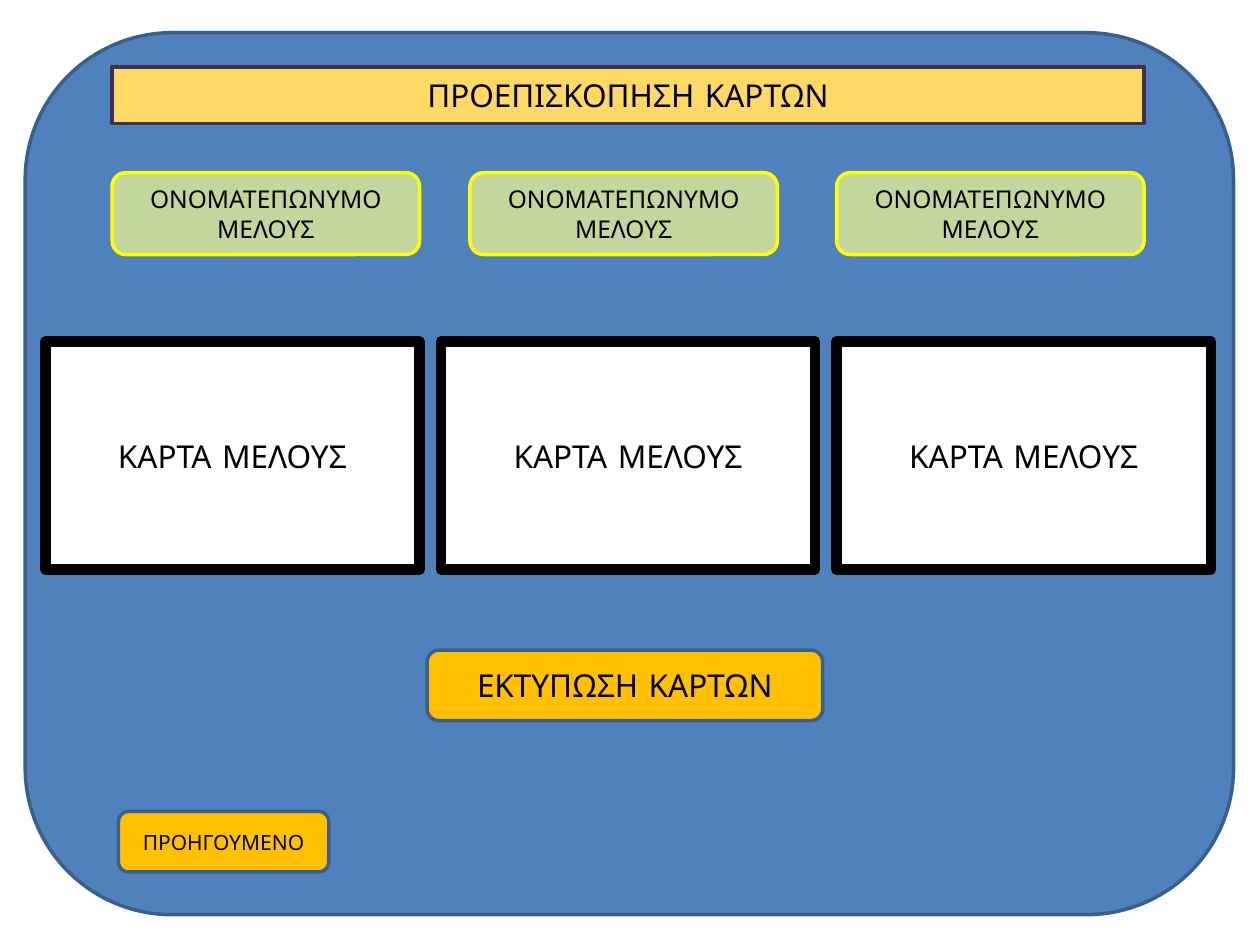
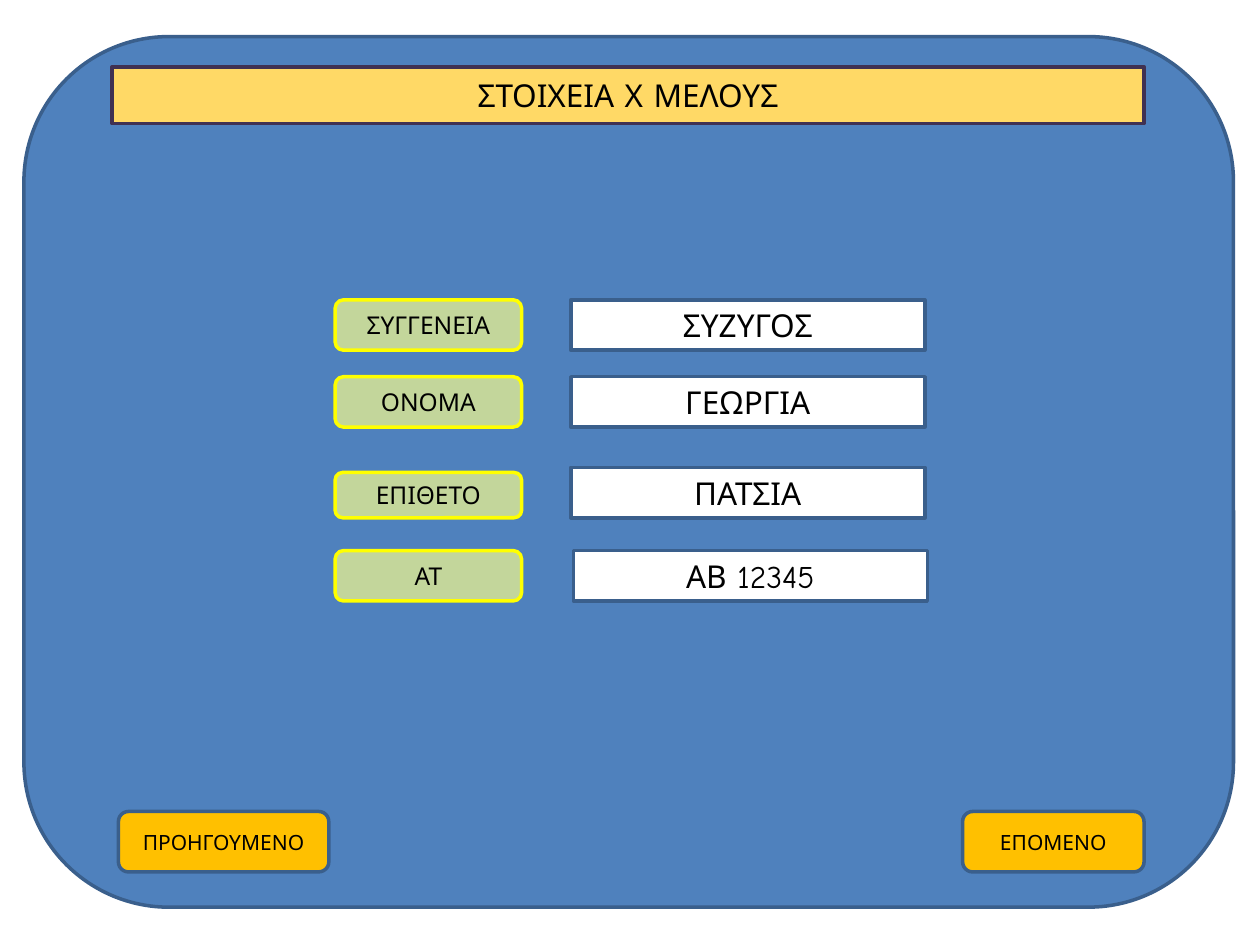
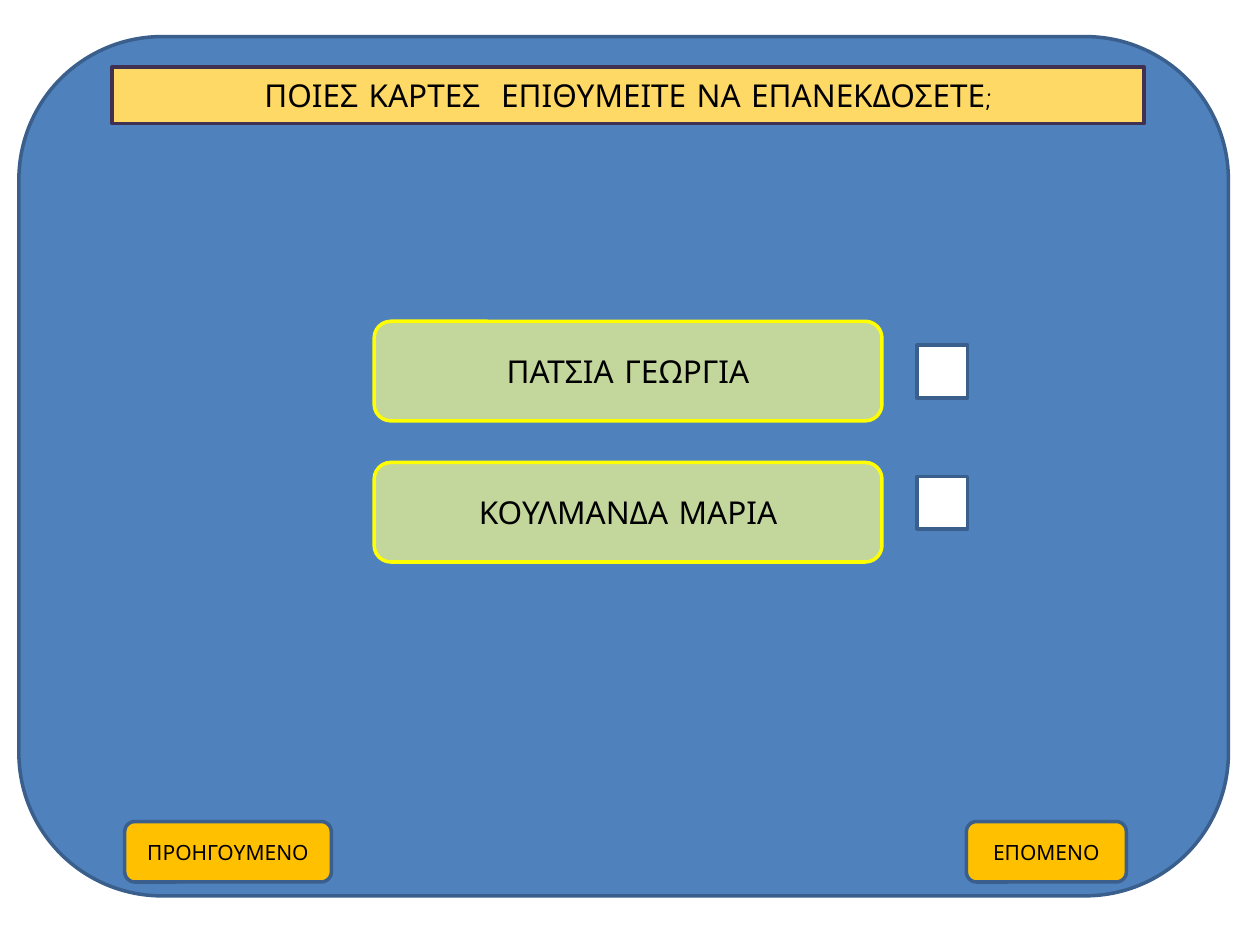
import pptx
import pptx.dml.color
import pptx.enum.shapes
import pptx.enum.text
import pptx.util

RGBColor = pptx.dml.color.RGBColor
BLUE = RGBColor(0x4F, 0x81, 0xBD)
DARK_BLUE = RGBColor(0x3A, 0x5F, 0x8C)
SAND = RGBColor(0xFF, 0xD9, 0x66)
PURPLE = RGBColor(0x40, 0x31, 0x52)
GREEN = RGBColor(0xC3, 0xD6, 0x9B)
YELLOW = RGBColor(0xFF, 0xFF, 0x00)
AMBER = RGBColor(0xFF, 0xC0, 0x00)
WHITE = RGBColor(0xFF, 0xFF, 0xFF)
BLACK = RGBColor(0x00, 0x00, 0x00)

FONT = "Comic Neue"
COLUMNS, ROWS = 100, 75
TITLE_ONLY = 5
RECTANGLE = pptx.enum.shapes.MSO_SHAPE.RECTANGLE
ROUNDED = pptx.enum.shapes.MSO_SHAPE.ROUNDED_RECTANGLE


class Screens:
    """Draws form screens on a grid of COLUMNS by ROWS."""

    def __init__(self):
        self.deck = pptx.Presentation()
        self.deck.slide_width = pptx.util.Inches(10)
        self.deck.slide_height = pptx.util.Inches(7.5)
        self.slide = None

    def place(self, left, top, width, height):
        """Turn grid units into slide lengths."""
        column = self.deck.slide_width / COLUMNS
        row = self.deck.slide_height / ROWS
        return (round(left * column), round(top * row),
                round(width * column), round(height * row))

    def paint(self, shape, fill, border, weight=2):
        shape.fill.solid()
        shape.fill.fore_color.rgb = fill
        shape.line.color.rgb = border
        shape.line.width = pptx.util.Pt(weight)

    def set_caption(self, shape, text, size):
        frame = shape.text_frame
        frame.text = text
        frame.word_wrap = True
        frame.auto_size = pptx.enum.text.MSO_AUTO_SIZE.NONE
        frame.vertical_anchor = pptx.enum.text.MSO_ANCHOR.MIDDLE
        paragraph = frame.paragraphs[0]
        paragraph.alignment = pptx.enum.text.PP_ALIGN.CENTER
        paragraph.font.name = FONT
        paragraph.font.size = pptx.util.Pt(size)
        paragraph.font.color.rgb = BLACK

    def box(self, area, outline, fill, border, text="", size=18, weight=2):
        shape = self.slide.shapes.add_shape(outline, *self.place(*area))
        shape.shadow.inherit = False
        self.paint(shape, fill, border, weight)
        if text:
            self.set_caption(shape, text, size)
        return shape

    def screen(self, heading, panel_area):
        """Start a slide with its blue panel and heading band."""
        layout = self.deck.slide_layouts[TITLE_ONLY]
        self.slide = self.deck.slides.add_slide(layout)
        band = self.slide.shapes.title
        band.left, band.top, band.width, band.height = self.place(8.9, 5.3, 81.9, 4.5)
        self.paint(band, SAND, PURPLE)
        self.set_caption(band, heading, 18)
        panel = self.box(panel_area, ROUNDED, BLUE, DARK_BLUE)
        band.element.addprevious(panel.element)

    def label(self, text, area, size=14):
        self.box(area, ROUNDED, GREEN, YELLOW, text, size)

    def field(self, area, text=""):
        self.box(area, RECTANGLE, WHITE, DARK_BLUE, text)

    def card(self, text, area):
        self.box(area, RECTANGLE, WHITE, BLACK, text, weight=6)

    def button(self, text, area, size=12):
        self.box(area, ROUNDED, AMBER, DARK_BLUE, text, size)

    def previous_button(self, left=9.4, top=64.4, width=16.7):
        self.button("ΠΡΟΗΓΟΥΜΕΝΟ", (left, top, width, 4.8))

    def next_button(self, left=76.4, top=64.4, width=14.4):
        self.button("ΕΠΟΜΕΝΟ", (left, top, width, 4.8))


def card_preview(screens):
    screens.screen("ΠΡΟΕΠΙΣΚΟΠΗΣΗ ΚΑΡΤΩΝ", (2, 2.6, 95.9, 70))
    for member, name_left in enumerate((8.9, 37.3, 66.4)):
        screens.label("ΟΝΟΜΑΤΕΠΩΝΥΜΟ ΜΕΛΟΥΣ", (name_left, 13.7, 24.4, 6.5))
        screens.card("ΚΑΡΤΑ ΜΕΛΟΥΣ", (3.6 + 31.4 * member, 27.1, 29.7, 18.1))
    screens.button("ΕΚΤΥΠΩΣΗ ΚΑΡΤΩΝ", (33.9, 51.6, 31.4, 5.6), size=18)
    screens.previous_button()


def member_details(screens):
    screens.screen("ΣΤΟΙΧΕΙΑ Χ ΜΕΛΟΥΣ", (1.9, 2.9, 96, 69.1))
    details = (
        ("ΣΥΓΓΕΝΕΙΑ", 23.8, 4, "ΣΥΖΥΓΟΣ", 45.3, 23.8),
        ("ΟΝΟΜΑ", 29.9, 4, "ΓΕΩΡΓΙΑ", 45.3, 29.9),
        ("ΕΠΙΘΕΤΟ", 37.5, 3.6, "ΠΑΤΣΙΑ", 45.3, 37.1),
        ("ΑΤ", 43.7, 4, "ΑΒ 12345", 45.5, 43.7),
    )
    for caption, caption_top, caption_height, value, value_left, value_top in details:
        screens.label(caption, (26.6, caption_top, 14.8, caption_height))
        screens.field((value_left, value_top, 28.1, 4), value)
    screens.previous_button()
    screens.next_button()


def card_choice(screens):
    screens.screen("ΠΟΙΕΣ ΚΑΡΤΕΣ  ΕΠΙΘΥΜΕΙΤΕ ΝΑ ΕΠΑΝΕΚΔΟΣΕΤΕ;", (1.5, 2.9, 96, 68.2))
    for row, member in enumerate(("ΠΑΤΣΙΑ ΓΕΩΡΓΙΑ", "ΚΟΥΛΜΑΝΔΑ ΜΑΡΙΑ")):
        screens.label(member, (29.7, 25.5 + 11.2 * row, 40.3, 7.9), size=18)
        screens.field((72.8, 27.4 + 10.4 * row, 4, 4.2))
    screens.previous_button(9.9, 65.2, 16.4)
    screens.next_button(76.7, 65.2, 12.7)


def main():
    screens = Screens()
    card_preview(screens)
    member_details(screens)
    card_choice(screens)
    screens.deck.save("out.pptx")


if __name__ == "__main__":
    main()
